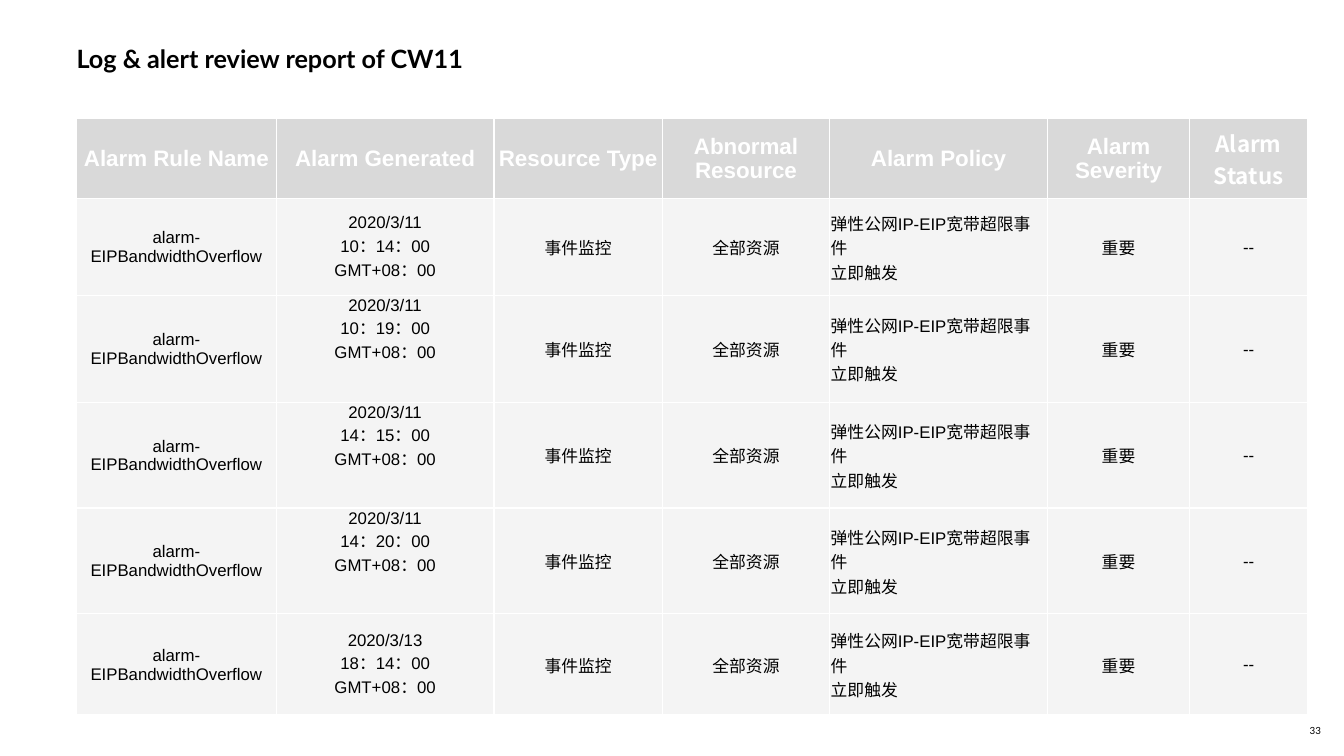
from lxml import etree
from pptx import Presentation
from pptx.dml.color import RGBColor
from pptx.enum import text
from pptx.oxml import ns
from pptx.util import Inches, Pt

COLORS = {"text": "000000", "header_text": "FFFFFF", "header": "D9D9D9",
          "body": "F4F4F4", "border": "FFFFFF"}
CJK_FONT = "Noto Sans CJK SC"
COLUMN_WIDTHS = [1.98, 2.16, 1.67, 1.66, 2.16, 1.41, 1.17]
ROW_HEIGHTS = [0.8, 0.96, 1.06, 1.05, 1.05, 1.0]
HEADERS = ["Alarm Rule Name", "Alarm Generated", "Resource Type", "Abnormal Resource",
           "Alarm Policy", "Alarm Severity", "Alarm Status"]
ALARM_TIMES = [("2020/3/11", "10：14：00"), ("2020/3/11", "10：19：00"),
               ("2020/3/11", "14：15：00"), ("2020/3/11", "14：20：00"),
               ("2020/3/13", "18：14：00")]
TIME_COLUMN, POLICY_COLUMN = 1, 4
TOP_ANCHORED_ROWS = (2, 3, 4)


def format_text(text_frame, size, font, color, bold=False, align=None):
    """Apply one style to every paragraph of a text frame."""
    for paragraph in text_frame.paragraphs:
        paragraph.alignment = align
        for run in paragraph.runs:
            run.font.size = Pt(size)
            run.font.name = font
            run.font.bold = bold
            run.font.color.rgb = RGBColor.from_string(COLORS[color])
            east_asian = etree.SubElement(run.font._element, ns.qn("a:ea"))
            east_asian.set("typeface", CJK_FONT)


def add_label(slide, box, content, size, anchor, bold=False, line_spacing=1.0):
    """Place a text box without margins in the given box."""
    shape = slide.shapes.add_textbox(*map(Inches, box))
    frame = shape.text_frame
    frame.word_wrap = True
    frame.vertical_anchor = anchor
    frame.margin_left = frame.margin_right = frame.margin_top = frame.margin_bottom = 0
    frame.text = content
    format_text(frame, size, "Lato", "text", bold)
    frame.paragraphs[0].line_spacing = line_spacing


def style_cell(cell, fill):
    """Set the margins, borders and fill of a table cell."""
    cell.margin_left = cell.margin_right = cell.margin_top = Inches(0.01)
    cell.margin_bottom = 0
    cell.vertical_anchor = text.MSO_ANCHOR.MIDDLE
    properties = cell._tc.get_or_add_tcPr()
    for side in ("a:lnL", "a:lnR", "a:lnT", "a:lnB"):
        line = etree.SubElement(properties, ns.qn(side), w=str(Pt(1)))
        solid = etree.SubElement(line, ns.qn("a:solidFill"))
        etree.SubElement(solid, ns.qn("a:srgbClr"), val=COLORS["border"])
    cell.fill.solid()
    cell.fill.fore_color.rgb = RGBColor.from_string(COLORS[fill])


def alarm_row(date, time):
    """Return the cell texts for one alarm."""
    return ["alarm-EIPBandwidthOverflow", f"{date}\n{time}\nGMT+08：00", "事件监控",
            "全部资源", "弹性公网IP-EIP宽带超限事件\n立即触发", "重要", "--"]


def add_alarm_table(slide, left, top):
    """Place the alarm table with its top left corner at the given point."""
    rows = [HEADERS] + [alarm_row(*moment) for moment in ALARM_TIMES]
    box = (left, top, sum(COLUMN_WIDTHS), sum(ROW_HEIGHTS))
    table = slide.shapes.add_table(len(rows), len(HEADERS), *map(Inches, box)).table
    for column, width in zip(table.columns, COLUMN_WIDTHS):
        column.width = Inches(width)
    for row, height in zip(table.rows, ROW_HEIGHTS):
        row.height = Inches(height)
    for row_index, values in enumerate(rows):
        is_header = row_index == 0
        for column_index, value in enumerate(values):
            cell = table.cell(row_index, column_index)
            cell.text_frame.text = value
            style_cell(cell, "header" if is_header else "body")
            if is_header:
                font = CJK_FONT if value == HEADERS[-1] else "Arial"
                format_text(cell.text_frame, 16, font, "header_text", True,
                            text.PP_ALIGN.CENTER)
            else:
                align = (text.PP_ALIGN.LEFT if column_index == POLICY_COLUMN
                         else text.PP_ALIGN.CENTER)
                format_text(cell.text_frame, 12, "Arial", "text", align=align)
            if column_index == TIME_COLUMN and row_index in TOP_ANCHORED_ROWS:
                cell.vertical_anchor = text.MSO_ANCHOR.TOP


def main():
    """Build and save the alert review slide."""
    presentation = Presentation()
    presentation.slide_width = Inches(13.33)
    presentation.slide_height = Inches(7.5)
    slide = presentation.slides.add_slide(presentation.slide_layouts[6])
    add_label(slide, (0.76, 0.4, 12.4, 0.67), "Log & alert review report of CW11", 18,
              text.MSO_ANCHOR.TOP, bold=True, line_spacing=1.1)
    add_alarm_table(slide, 0.76, 1.17)
    add_label(slide, (12.99, 7.16, 0.34, 0.17), "33", 7, text.MSO_ANCHOR.MIDDLE)
    presentation.save("out.pptx")


if __name__ == "__main__":
    main()
